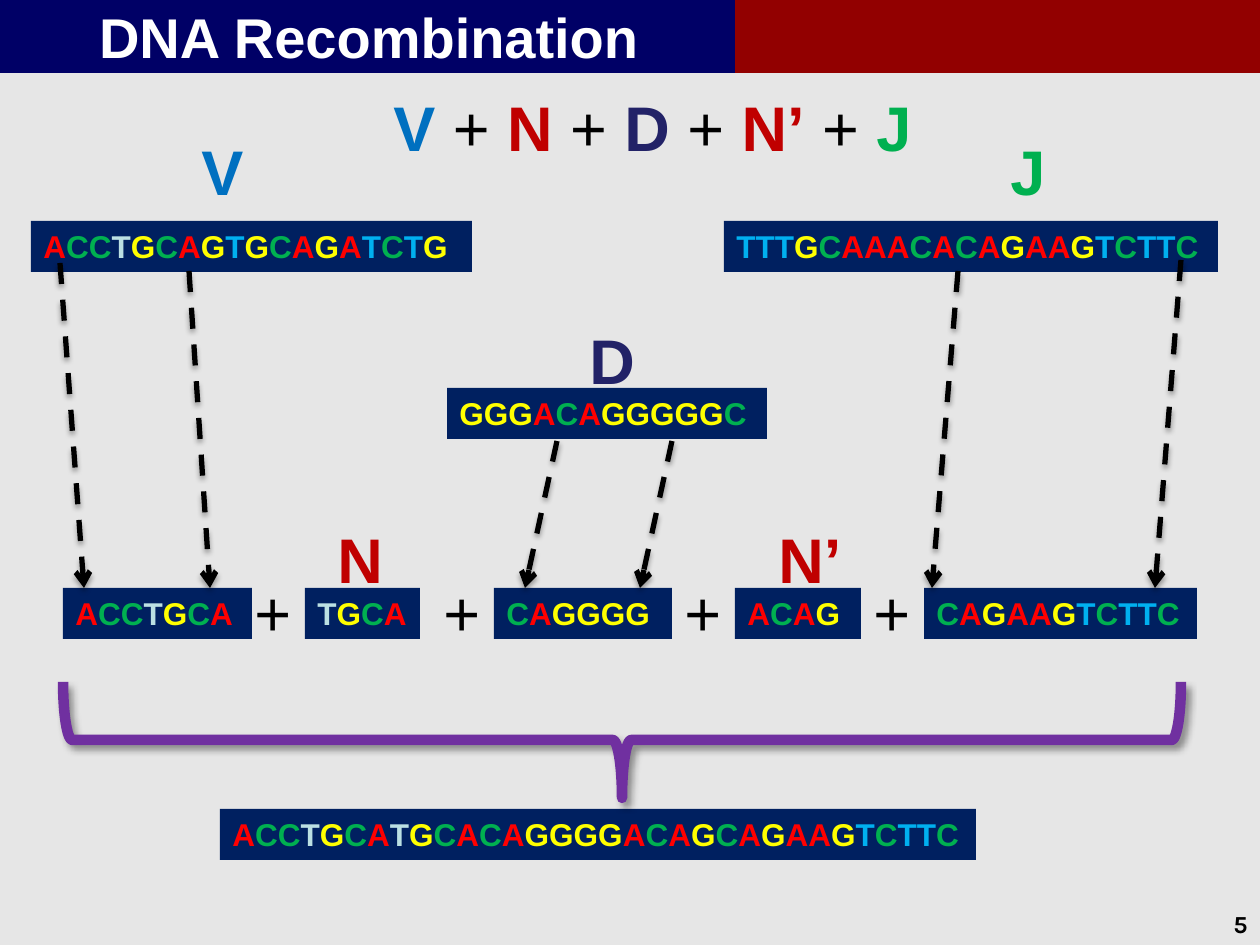
from itertools import groupby
from typing import NamedTuple

from lxml.etree import SubElement
from pptx import Presentation
from pptx.dml.color import RGBColor
from pptx.enum.dml import MSO_LINE_DASH_STYLE as Dash
from pptx.enum.shapes import MSO_CONNECTOR as Conn, MSO_SHAPE as Shape
from pptx.enum.text import MSO_ANCHOR as Anchor, PP_ALIGN as Align
from pptx.oxml.ns import qn
from pptx.util import Pt

EMU_PER_PX = 914400 / 126
COLORS = {
    "bg": "E6E6E6", "navy": "000066", "maroon": "920000", "box": "002060",
    "V": "0070C0", "N": "C00000", "D": "222267", "J": "00B050",
    "black": "000000", "white": "FFFFFF", "purple": "7030A0",
}
# Lowercase t marks a thymine shown in the pale tint
BASES = {"A": "FF0000", "C": "00B050", "G": "FFFF00", "T": "00B0F0", "t": "BBE0E3"}


class Box(NamedTuple):
    x: int
    y: int
    w: int
    h: int


class Run(NamedTuple):
    text: str
    color: str
    bold: bool = True


class Sequence(NamedTuple):
    bases: str
    x: int
    y: int
    w: int


class Label(NamedTuple):
    text: str
    color: str
    box: Box


class Arrow(NamedTuple):
    x1: int
    y1: int
    x2: int
    y2: int


class Shadow(NamedTuple):
    alpha: int
    blur: float
    dist: float
    angle: int


ROW_Y = 588
SEQ_H, LABEL_H = 51, 89
SEQUENCES = [
    Sequence("ACCtGCAGTGCAGATCTG", 31, 221, 441),
    Sequence("GGGACAGGGGGC", 447, 388, 320),
    Sequence("TTTGCAAACACAGAAGTCTTC", 724, 221, 494),
    Sequence("ACCtGCA", 63, ROW_Y, 189),
    Sequence("tGCA", 305, ROW_Y, 115),
    Sequence("CAGGGG", 494, ROW_Y, 178),
    Sequence("ACAG", 735, ROW_Y, 126),
    Sequence("CAGAAGTCTTC", 924, ROW_Y, 273),
    Sequence("ACCtGCAtGCACAGGGGACAGCAGAAGTCTTC", 220, 809, 756),
]
LABELS = [
    Label("V", "V", Box(189, 126, 63, LABEL_H)),
    Label("J", "J", Box(998, 126, 63, LABEL_H)),
    Label("D", "D", Box(577, 315, 73, LABEL_H)),
    Label("N", "N", Box(325, 514, 84, LABEL_H)),
    Label("N’", "N", Box(766, 514, 105, LABEL_H)),
]
PLUS_X = [242, 431, 672, 861]
ARROWS = [
    Arrow(60, 263, 84, ROW_Y), Arrow(189, 271, 210, ROW_Y),
    Arrow(557, 441, 525, ROW_Y), Arrow(672, 441, 640, ROW_Y),
    Arrow(958, 271, 932, ROW_Y), Arrow(1181, 260, 1155, ROW_Y),
]


def px(n: int) -> int:
    return round(n * EMU_PER_PX)


def rgb(hex_color: str) -> RGBColor:
    return RGBColor.from_string(hex_color)


def add_shadow(shape, shadow: Shadow) -> None:
    spPr = shape._element.spPr
    for old in spPr.findall(qn("a:effectLst")):
        spPr.remove(old)
    effects = SubElement(spPr, qn("a:effectLst"))
    outer = SubElement(effects, qn("a:outerShdw"), blurRad=str(Pt(shadow.blur)),
                       dist=str(Pt(shadow.dist)), dir=str(shadow.angle * 60000),
                       rotWithShape="0")
    color = SubElement(outer, qn("a:srgbClr"), val=COLORS["black"])
    SubElement(color, qn("a:alpha"), val=str(shadow.alpha * 1000))


def write(sp, runs: list[Run], size: int, align=Align.LEFT, anchor=Anchor.TOP,
          font: str = "Arial") -> None:
    tf = sp.text_frame
    for name, value in {"word_wrap": True, "vertical_anchor": anchor}.items():
        setattr(tf, name, value)
    p = tf.paragraphs[0]
    p.alignment = align
    for run in runs:
        r = p.add_run()
        r.text = run.text
        r.font.color.rgb = rgb(run.color)
        for name, value in {"name": font, "size": Pt(size), "bold": run.bold}.items():
            setattr(r.font, name, value)


def add_text(s, box: Box, runs: list[Run], size: int, **options) -> None:
    write(s.shapes.add_textbox(*map(px, box)), runs, size, **options)


def add_rect(s, box: Box, color: str):
    sp = s.shapes.add_shape(Shape.RECTANGLE, *map(px, box))
    sp.shadow.inherit = False
    sp.fill.solid()
    sp.fill.fore_color.rgb = rgb(COLORS[color])
    sp.line.fill.background()
    return sp


def add_sequence(s, seq: Sequence) -> None:
    sp = add_rect(s, Box(seq.x, seq.y, seq.w, SEQ_H), "box")
    runs = [Run("".join(group).upper(), BASES[base]) for base, group in groupby(seq.bases)]
    write(sp, runs, 18)


def add_arrow(s, arrow: Arrow) -> None:
    line = s.shapes.add_connector(Conn.STRAIGHT, *map(px, arrow))
    line.line.color.rgb = rgb(COLORS["black"])
    for name, value in {"width": Pt(3), "dash_style": Dash.DASH}.items():
        setattr(line.line, name, value)
    SubElement(line.line._get_or_add_ln(), qn("a:tailEnd"), type="arrow")
    add_shadow(line, Shadow(35, 3.1, 1.8, 90))


def add_brace(s, box: Box) -> None:
    sp = s.shapes.add_shape(Shape.RIGHT_BRACE, *map(px, box))
    sp.rotation = 90
    sp.adjustments[0], sp.adjustments[1] = 0.08, 0.5
    sp.fill.background()
    sp.line.color.rgb = rgb(COLORS["purple"])
    sp.line.width = Pt(6)
    add_shadow(sp, Shadow(40, 4, 3, 45))


def main() -> None:
    prs = Presentation()
    prs.slide_width, prs.slide_height = px(1260), px(945)
    s = prs.slides.add_slide(prs.slide_layouts[6])
    s.background.fill.solid()
    s.background.fill.fore_color.rgb = rgb(COLORS["bg"])

    # Header band, title and page number
    add_rect(s, Box(735, 0, 525, 73), "maroon")
    add_rect(s, Box(0, 0, 735, 73), "navy")
    add_text(s, Box(0, -2, 738, 77), [Run("DNA Recombination", COLORS["white"])], 32,
             align=Align.CENTER, anchor=Anchor.MIDDLE)
    add_text(s, Box(1113, 903, 147, 39), [Run("5", COLORS["black"])], 14,
             align=Align.RIGHT, font="Karla")

    # Gene segments, their labels and the plus signs
    for seq in SEQUENCES:
        add_sequence(s, seq)
    for label in LABELS:
        add_text(s, label.box, [Run(label.text, COLORS[label.color])], 36)
    for x in PLUS_X:
        add_text(s, Box(x, 567, 63, LABEL_H), [Run("+", COLORS["black"], False)], 36)

    # Formula
    formula = []
    for part in ("V", "N", "D", "N’", "J"):
        if formula:
            formula.append(Run(" + ", COLORS["black"], False))
        formula.append(Run(part, COLORS[part[0]]))
    add_text(s, Box(381, 82, 581, LABEL_H), formula, 36)

    # Arrows and the brace to the joined sequence
    for arrow in ARROWS:
        add_arrow(s, arrow)
    add_brace(s, Box(564, 181, 116, 1118))

    prs.save("out.pptx")


if __name__ == "__main__":
    main()
